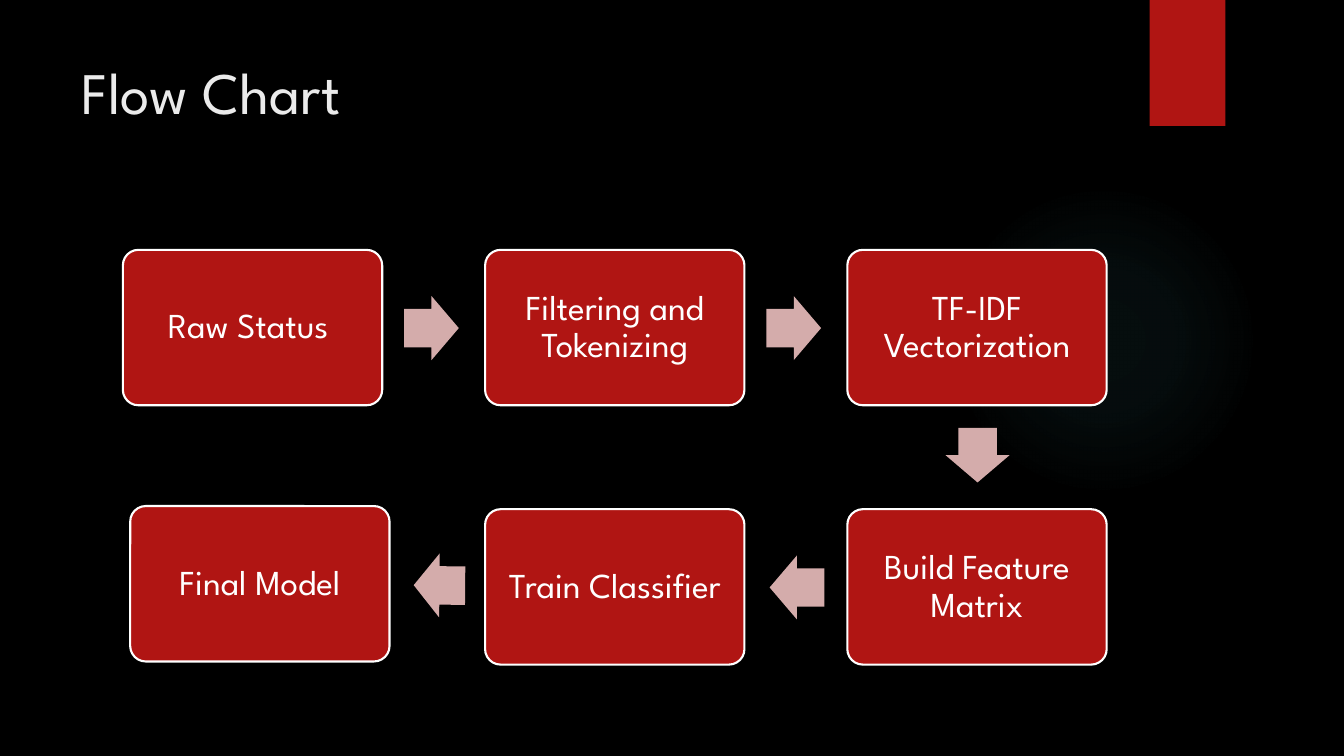
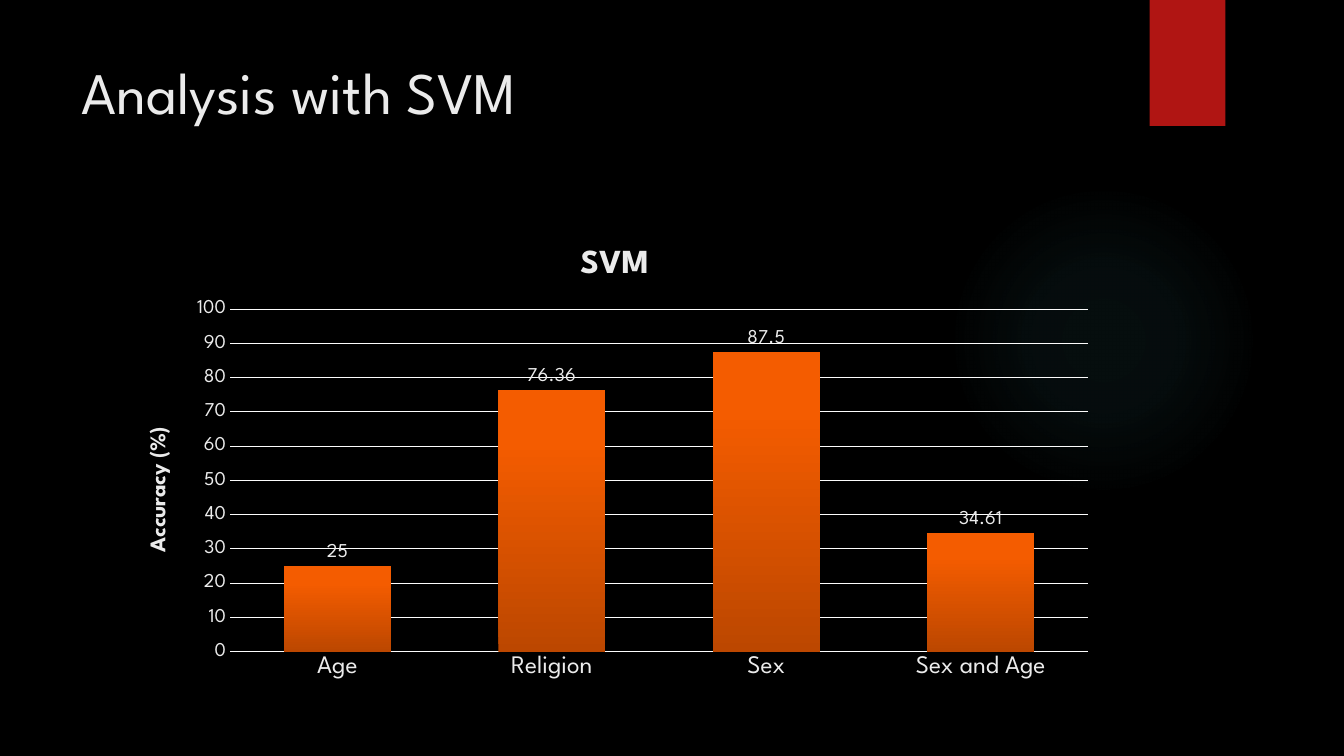
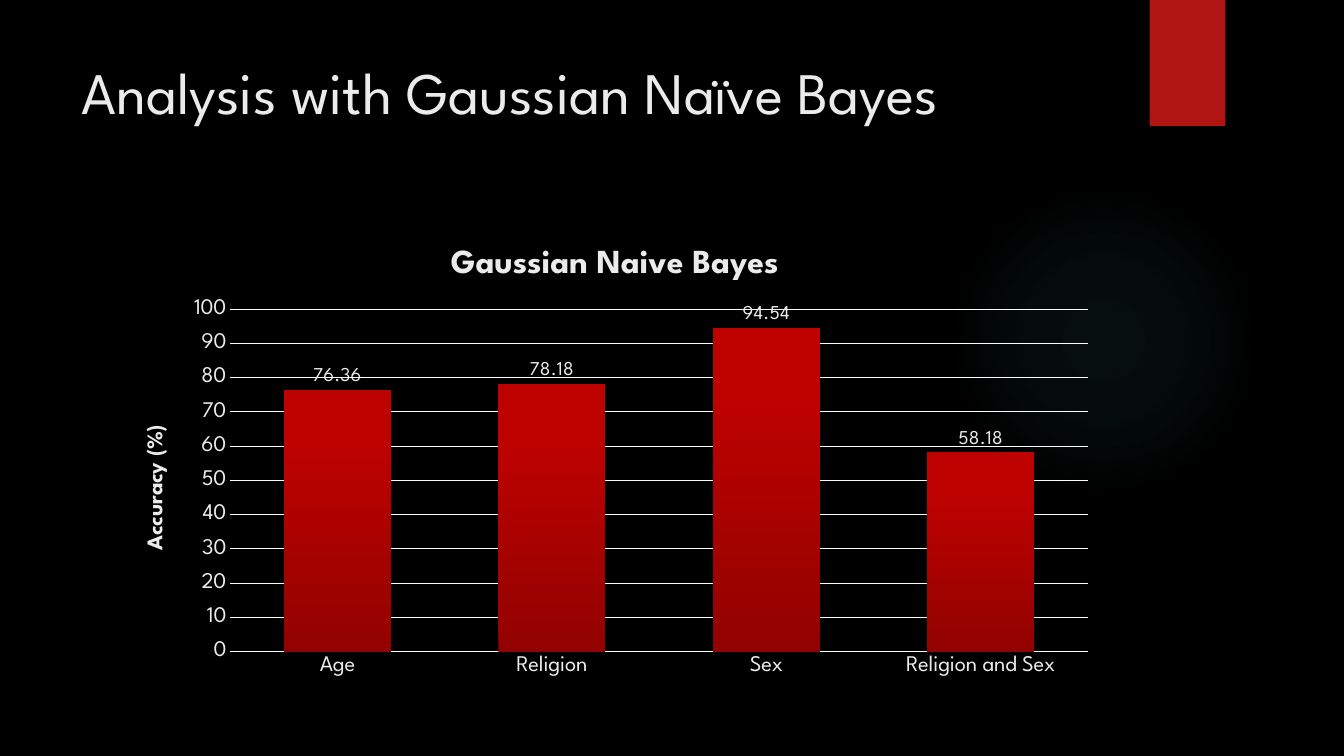
from pptx import Presentation
from pptx.chart.data import CategoryChartData as ChartData
from pptx.dml.color import RGBColor
from pptx.enum.chart import XL_CHART_TYPE as Kind, XL_LABEL_POSITION as Spot, XL_TICK_MARK as Tick
from pptx.enum.shapes import MSO_SHAPE as Form
from pptx.enum.text import MSO_ANCHOR as Anchor, MSO_AUTO_SIZE as Auto, PP_ALIGN as Align
from pptx.oxml import parse_xml
from pptx.oxml.ns import nsdecls, qn
from pptx.util import Pt

PX = 9525
FONT = "League Spartan"
BLACK = RGBColor(0x00, 0x00, 0x00)
WHITE = RGBColor(0xFF, 0xFF, 0xFF)
PALE = RGBColor(0xEB, 0xEB, 0xEB)
GRID = RGBColor(0xFC, 0xFC, 0xFC)
RED = RGBColor(0xB0, 0x15, 0x13)
PINK = RGBColor(0xD4, 0xAC, 0xAB)
TEAL = RGBColor(0x50, 0xB9, 0xC1)
ORANGE = [(0, RGBColor(0xBC, 0x47, 0x00)), (80, RGBColor(0xF4, 0x5C, 0x00)),
          (100, RGBColor(0xF5, 0x5C, 0x00))]
CRIMSON = [(0, RGBColor(0x92, 0x02, 0x00)), (80, RGBColor(0xBD, 0x02, 0x00)),
           (100, RGBColor(0xBE, 0x02, 0x00))]


def write(frame, text, size, color, bold=False):
    run = frame.paragraphs[0].add_run()
    run.text = text
    font = run.font
    font.name, font.size, font.bold = FONT, Pt(size), bold
    font.color.rgb = color


def blend(fill, props, stops, shade):
    """Swap a solid fill for a gradient; a stop is (place, colour, opacity)."""
    fill.solid()
    marks = "".join(
        f'<a:gs pos="{at * 1000}"><a:srgbClr val="{tint}">'
        f'<a:alpha val="{(rest or [100])[0] * 1000}"/></a:srgbClr></a:gs>'
        for at, tint, *rest in stops)
    grad = parse_xml(f'<a:gradFill {nsdecls("a")} rotWithShape="1">'
                     f'<a:gsLst>{marks}</a:gsLst>{shade}</a:gradFill>')
    props.replace(props.find(qn("a:solidFill")), grad)


deck = Presentation()
deck.slide_width, deck.slide_height = 1280 * PX, 720 * PX

# Shared background and title place
back = deck.slide_master.background.fill
back.solid()
back.fore_color.rgb = BLACK
plan = deck.slide_layouts[5]
head = plan.placeholders[0]
head.left, head.top, head.width, head.height = [n * PX for n in (68, 48, 988, 147)]

# Shared glow, ribbon and title style
slides = []
for name in ["Flow Chart", "Analysis with SVM", "Analysis with Gaussian Naïve Bayes"]:
    slide = deck.slides.add_slide(plan)
    glow = slide.shapes.add_shape(Form.OVAL, 903 * PX, 176 * PX, 296 * PX, 296 * PX)
    blend(glow.fill, glow._element.spPr, [(0, TEAL, 7), (36, TEAL, 6), (69, TEAL, 0)],
          '<a:path path="circle"><a:fillToRect l="50000" t="50000" r="50000" b="50000"/></a:path>')
    band = slide.shapes.add_shape(Form.RECTANGLE, 1095 * PX, 0, 72 * PX, 120 * PX)
    band.fill.solid()
    band.fill.fore_color.rgb = RED
    for shape in (glow, band):
        shape.line.fill.background()
        shape.shadow.inherit = False
    frame = slide.shapes.title.text_frame
    frame.auto_size = Auto.NONE
    frame.vertical_anchor = Anchor.TOP
    frame.paragraphs[0].alignment = Align.LEFT
    write(frame, name, 42, PALE)
    slides.append(slide)

# Flow chart boxes: two rows on a grid of three columns
LEFT, TOP, STEP, DROP = 117, 238, 345, 247
steps = [
    ("Raw Status ", LEFT, TOP),
    ("Filtering and Tokenizing", LEFT + STEP, TOP),
    ("TF-IDF Vectorization", LEFT + 2 * STEP, TOP),
    ("Build Feature Matrix", LEFT + 2 * STEP, TOP + DROP),
    ("Train Classifier", LEFT + STEP, TOP + DROP),
    ("Final Model", 124, 482),
]
shapes = slides[0].shapes
for text, x, y in steps:
    box = shapes.add_shape(Form.ROUNDED_RECTANGLE, x * PX, y * PX, 247 * PX, 148 * PX)
    box.adjustments[0] = 0.1
    box.shadow.inherit = False
    box.fill.solid()
    box.fill.fore_color.rgb = RED
    box.line.color.rgb = WHITE
    box.line.width = Pt(1.5)
    frame = box.text_frame
    frame.word_wrap = True
    frame.vertical_anchor = Anchor.MIDDLE
    frame.margin_left = frame.margin_right = 14 * PX
    frame.margin_top = frame.margin_bottom = 14 * PX
    frame.paragraphs[0].alignment = Align.CENTER
    frame.paragraphs[0].line_spacing = 0.9
    write(frame, text, 25, WHITE)

# Block arrows between the boxes
for x, y, wide, turn in [(385, 282, 52, 0), (730, 282, 52, 0), (905, 403, 52, 90),
                         (733, 529, 52, 180), (394, 527, 49, 180.5)]:
    arrow = shapes.add_shape(Form.RIGHT_ARROW, x * PX, y * PX, wide * PX, 61 * PX)
    arrow.adjustments[0], arrow.adjustments[1] = 0.6, 0.5
    arrow.rotation = turn
    arrow.shadow.inherit = False
    arrow.fill.solid()
    arrow.fill.fore_color.rgb = PINK
    arrow.line.fill.background()

# Accuracy charts
charts = [
    (slides[1], "SVM", ["Age", "Religion", "Sex", "Sex and Age"],
     [25, 76.36, 87.5, 34.61], ORANGE, 18, 14),
    (slides[2], "Gaussian Naive Bayes", ["Age", "Religion", "Sex", "Religion and Sex"],
     [76.36, 78.18, 94.54, 58.18], CRIMSON, 16, 16),
]
for slide, name, cats, vals, stops, base, side in charts:
    data = ChartData()
    data.categories = cats
    data.add_series(name, vals)
    chart = slide.shapes.add_chart(Kind.COLUMN_CLUSTERED, 116 * PX, 215 * PX,
                                   939 * PX, 441 * PX, data).chart
    chart.font.name, chart.font.size = FONT, Pt(10)
    chart.font.color.rgb = WHITE
    chart.has_legend = False
    chart.has_title = True
    write(chart.chart_title.text_frame, name, 24, PALE, True)
    chart.chart_title.include_in_layout = False

    # Axes and grid
    low, tall = chart.category_axis, chart.value_axis
    for axis, size in ((low, base), (tall, side)):
        axis.major_tick_mark = axis.minor_tick_mark = Tick.NONE
        font = axis.tick_labels.font
        font.name, font.size = FONT, Pt(size)
        font.color.rgb = PALE
    tall.minimum_scale, tall.maximum_scale, tall.major_unit = 0, 100, 10
    tall.has_major_gridlines = True
    for line in (low.format.line, tall.major_gridlines.format.line):
        line.color.rgb = GRID
        line.width = Pt(0.75)
    tall.format.line.fill.background()
    write(tall.axis_title.text_frame, "Accuracy (%)", 16, PALE, True)

    # Bars and labels
    plot = chart.plots[0]
    plot.gap_width, plot.overlap = 100, -24
    plot.vary_by_categories = False
    bars = plot.series[0]
    bars.invert_if_negative = False
    bars.format.fill.solid()
    blend(bars.format.fill, bars._element.spPr, stops, '<a:lin ang="16200000" scaled="0"/>')
    plot.has_data_labels = True
    tags = plot.data_labels
    tags.show_value = True
    tags.position = Spot.OUTSIDE_END
    tags.font.name, tags.font.size = FONT, Pt(14)
    tags.font.color.rgb = PALE

    # Fixed place for the plot area
    area = chart._chartSpace.chart.plotArea
    for old in area.findall(qn("c:layout")):
        area.remove(old)
    sizes = "".join(f'<c:{key} val="{val}"/>' for key, val in
                    [("x", 0.11), ("y", 0.18), ("w", 0.87), ("h", 0.74)])
    area.insert(0, parse_xml(
        f'<c:layout {nsdecls("c")}><c:manualLayout><c:layoutTarget val="inner"/>'
        f'<c:xMode val="edge"/><c:yMode val="edge"/>{sizes}</c:manualLayout></c:layout>'))

deck.save("out.pptx")
